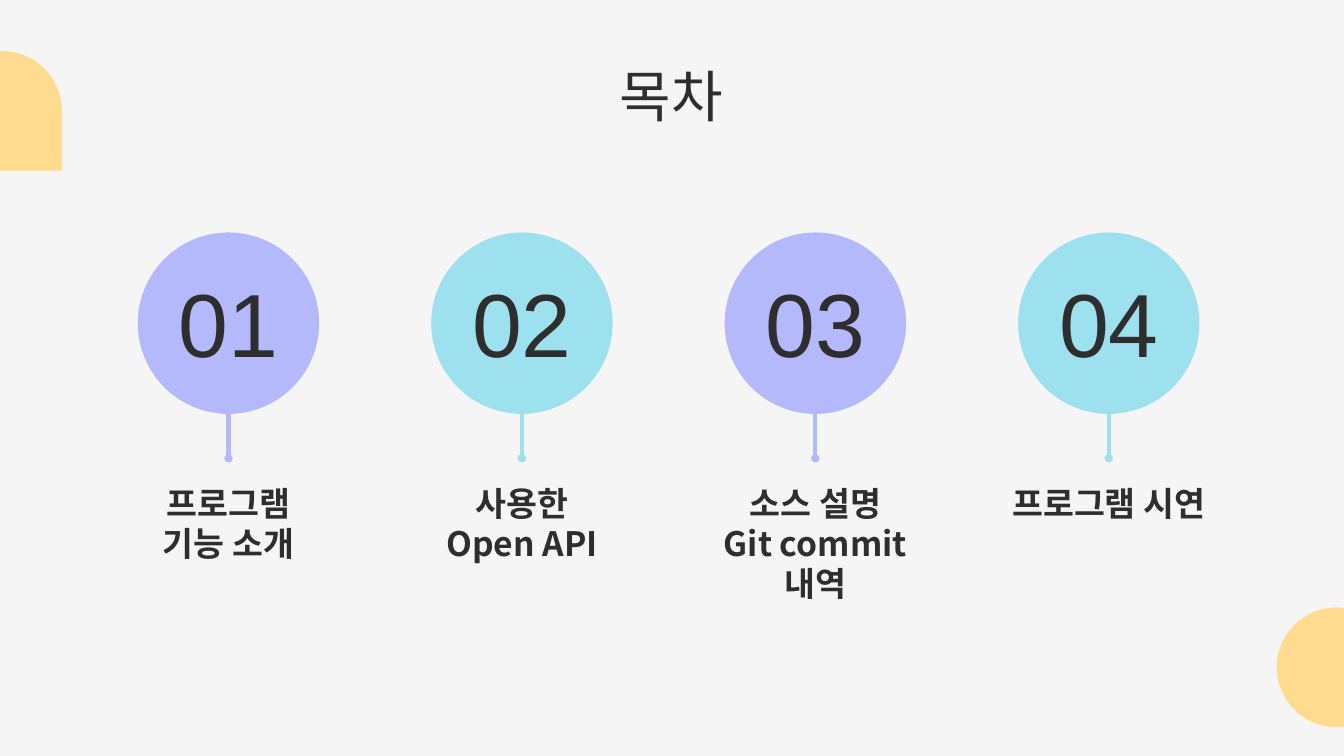
"""Builds a table-of-contents slide with four numbered topics."""
import pptx
import pptx.dml.color
import pptx.enum.shapes
import pptx.enum.text
import pptx.util
from lxml import etree

KIND = pptx.enum.shapes.MSO_SHAPE
ANCHOR = pptx.enum.text.MSO_ANCHOR
KOREAN = "Noto Sans CJK KR"
YELLOW, VIOLET, CYAN = "FFDB8F", "B3B9FB", "9DE0EE"
NS = "{http://schemas.openxmlformats.org/drawingml/2006/main}"
inch = pptx.util.Inches


def paint(fill, tint):
    fill.solid()
    fill.fore_color.rgb = pptx.dml.color.RGBColor.from_string(tint)


def write(text, left, top, width, height, size=18, font=KOREAN, bold=False, anchor=ANCHOR.TOP):
    box = slide.shapes.add_textbox(inch(left), inch(top), inch(width), inch(height))
    frame = box.text_frame
    frame.word_wrap = True
    frame.vertical_anchor = anchor
    frame.margin_left = frame.margin_right = inch(0.1)
    frame.margin_top = frame.margin_bottom = inch(0.1)
    frame.text = text
    para = frame.paragraphs[0]
    para.alignment = pptx.enum.text.PP_ALIGN.CENTER
    for run in para.runs:
        run.font.size = pptx.util.Pt(size)
        run.font.name = font
        run.font.bold = bold
        paint(run.font.fill, "2E2E2E")
        etree.SubElement(run.font._element, NS + "ea", typeface=font)


deck = pptx.Presentation()
deck.slide_width, deck.slide_height = inch(10), inch(10 * 9 / 16)
slide = deck.slides.add_slide(deck.slide_layouts[6])
paint(slide.background.fill, "F5F5F5")

for left, top in [(9.5, 4.52), (-0.43, 0.38)]:
    drop = slide.shapes.add_shape(KIND.TEAR, inch(left), inch(top), inch(0.89), inch(0.89))
    drop.rotation = 90
    drop.shadow.inherit = False
    drop.line.fill.background()
    paint(drop.fill, YELLOW)

write("목차", 1.49, 0.36, 7.01, 0.69, size=30)

first, last, size = 1.7, 8.25, 1.35
topics = [
    ("프로그램\v기능 소개", 1.68),
    ("사용한\vOpen API", 1.78),
    ("소스 설명\vGit commit 내역", 1.78),
    ("프로그램 시연", 2.23),
]
step = (last - first) / (len(topics) - 1)
for index, (topic, width) in enumerate(topics):
    mid = first + index * step
    tint = [VIOLET, CYAN][index % 2]

    stem = slide.shapes.add_connector(
        pptx.enum.shapes.MSO_CONNECTOR.STRAIGHT, inch(mid), inch(2.72), inch(mid), inch(3.41))
    stem.line.width = pptx.util.Pt(2.25)
    paint(stem.line.fill, tint)
    props = stem._element.spPr
    etree.SubElement(props.find(NS + "ln"), NS + "tailEnd", type="oval", w="sm", len="sm")
    etree.SubElement(props, NS + "effectLst")

    disc = slide.shapes.add_shape(KIND.OVAL, inch(mid - size / 2), inch(1.73), inch(size), inch(size))
    disc.shadow.inherit = False
    disc.line.fill.background()
    paint(disc.fill, tint)

    write(f"{index + 1:02}", mid - 0.96, 2.08, 1.92, 0.63, size=48, font="Arial", anchor=ANCHOR.MIDDLE)
    write(topic, mid - width / 2, 3.49, width, 0.63, bold=True)

deck.save("out.pptx")
